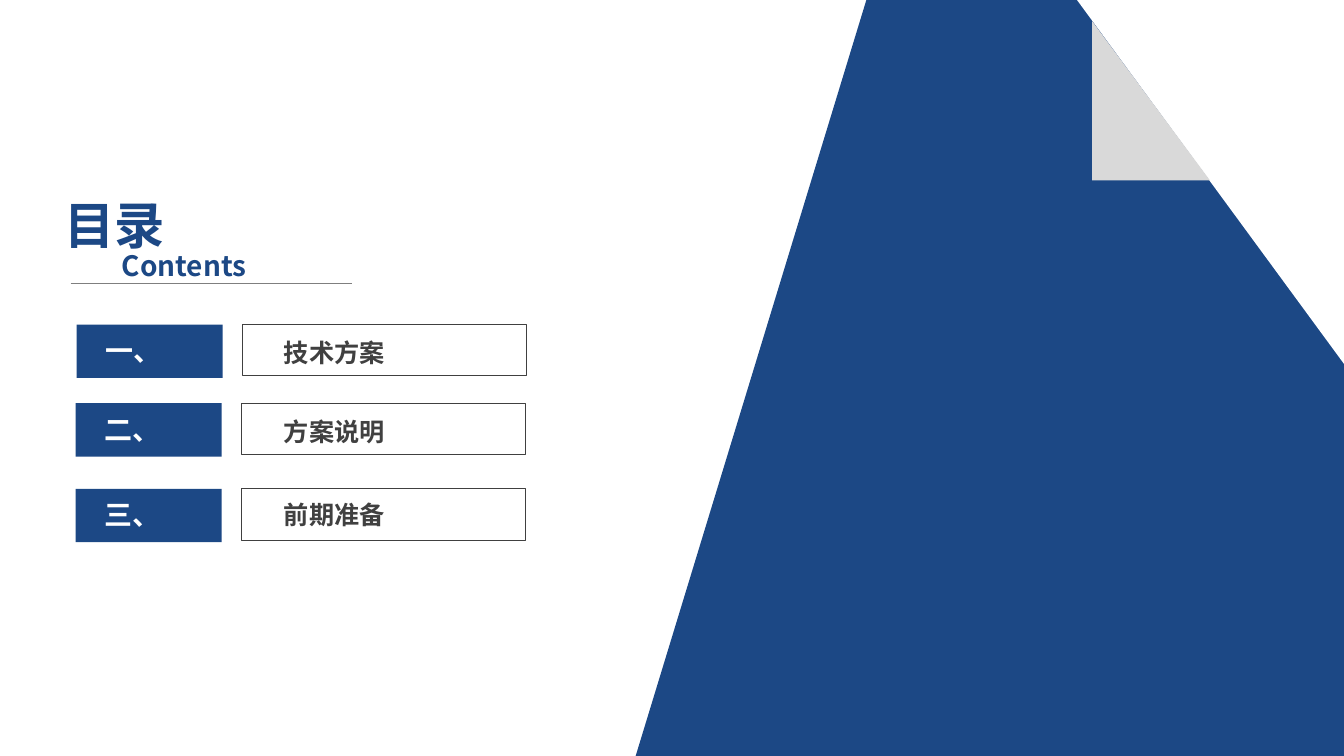
from lxml import etree
from pptx import Presentation
from pptx.dml.color import RGBColor
from pptx.enum.shapes import MSO_CONNECTOR, MSO_SHAPE
from pptx.enum.text import MSO_ANCHOR, MSO_AUTO_SIZE, PP_ALIGN
from pptx.oxml.ns import qn
from pptx.util import Pt

PX = 9144  # 100 px to the inch
FONT = "Noto Sans CJK SC"
BLUE, WHITE, GREY, DARK, RULE = "1C4885", "FFFFFF", "D9D9D9", "404040", "7F7F7F"
RECTANGLE = MSO_SHAPE.RECTANGLE
STRAIGHT = MSO_CONNECTOR.STRAIGHT
TOP, LEFT, FIXED = MSO_ANCHOR.TOP, PP_ALIGN.LEFT, MSO_AUTO_SIZE.NONE


def color(value):
    return RGBColor.from_string(value)


def write(box, text, size, ink):
    frame = box.text_frame
    frame.word_wrap = True
    frame.auto_size = FIXED
    frame.vertical_anchor = TOP
    para = frame.paragraphs[0]
    para.alignment = LEFT
    span = para.add_run()
    span.text = text
    span.font.size = Pt(size)
    span.font.bold = True
    span.font.name = FONT
    span.font.color.rgb = color(ink)
    east_asian = etree.SubElement(span.font._element, qn("a:ea"))
    east_asian.set("typeface", FONT)


deck = Presentation()
deck.slide_width, deck.slide_height = 1334 * PX, 750 * PX
page = deck.slides.add_slide(deck.slide_layouts[5])
shapes = page.shapes

# Heading
title = shapes.title
title.left, title.top, title.width, title.height = [v * PX for v in (54, 188, 157, 70)]
write(title, "目录", 36, BLUE)
subtitle = shapes.add_textbox(*[v * PX for v in (111, 242, 157, 44)])
write(subtitle, "Contents", 20, BLUE)
underline = shapes.add_connector(STRAIGHT, 70 * PX, 281 * PX, 349 * PX, 281 * PX)
underline.line.color.rgb = color(RULE)
underline.line.width = Pt(0.5)
etree.SubElement(underline._element.spPr, qn("a:effectLst"))

# Agenda rows: number, topic, left, top, topic text top
agenda = [
    ("一、", "技术方案", 76, 322, 330),
    ("二、", "方案说明", 75, 400, 408),
    ("三、", "前期准备", 75, 485, 490),
]
for number, topic, left, top, topic_top in agenda:
    frame_box = shapes.add_shape(
        RECTANGLE, (left + 165) * PX, top * PX, 282 * PX, 51 * PX)
    frame_box.shadow.inherit = False
    frame_box.fill.background()
    frame_box.line.color.rgb = color(DARK)
    frame_box.line.width = Pt(0.75)

    number_box = shapes.add_shape(RECTANGLE, left * PX, top * PX, 145 * PX, 53 * PX)
    number_box.shadow.inherit = False
    number_box.fill.solid()
    number_box.fill.fore_color.rgb = color(BLUE)
    number_box.line.fill.background()

    number_text = shapes.add_textbox(
        (left + 19) * PX, (top + 4) * PX, 105 * PX, 44 * PX)
    write(number_text, number, 20, WHITE)
    topic_text = shapes.add_textbox(272 * PX, topic_top * PX, 204 * PX, 40 * PX)
    write(topic_text, topic, 18, DARK)

# Blue sheet with its top right corner folded over
sheet = [
    (BLUE, [(860, 0), (1334, 0), (1334, 750), (631, 750)]),
    (WHITE, [(1069, 0), (1334, 0), (1334, 361)]),
    (GREY, [(1201, 179), (1084, 179), (1084, 21)]),
]
for fill, points in sheet:
    builder = shapes.build_freeform(*points[0], scale=PX)
    builder.add_line_segments(points[1:], close=True)
    piece = builder.convert_to_shape()
    piece.shadow.inherit = False
    piece.fill.solid()
    piece.fill.fore_color.rgb = color(fill)
    piece.line.fill.background()

deck.save("out.pptx")
